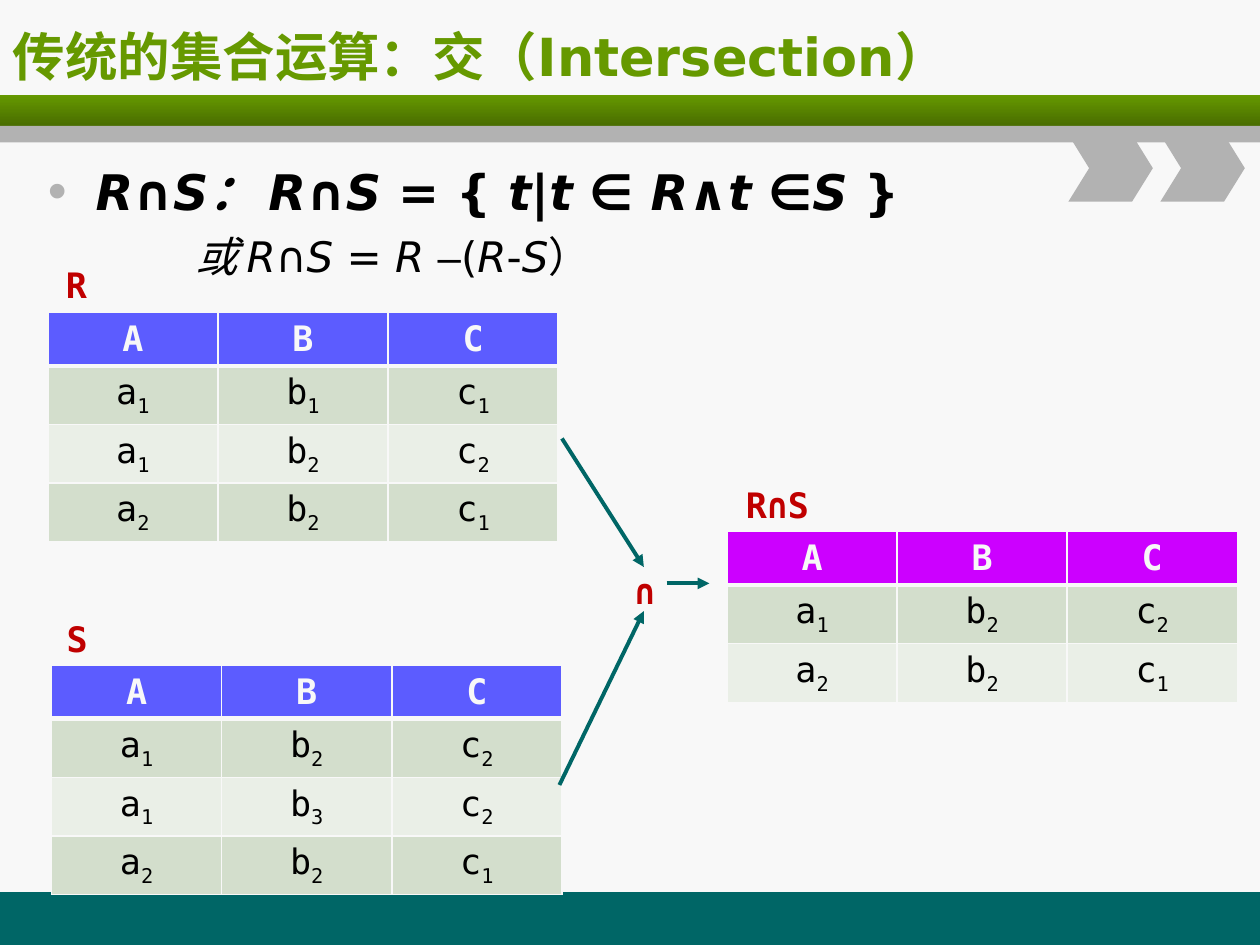
import pptx
import pptx.util
import pptx.dml.color
import pptx.enum.dml
import pptx.enum.shapes
import pptx.enum.text
import pptx.oxml
import pptx.oxml.ns

Inches, Pt = pptx.util.Inches, pptx.util.Pt
Shape = pptx.enum.shapes.MSO_SHAPE
Align = pptx.enum.text.PP_ALIGN
Anchor = pptx.enum.text.MSO_ANCHOR
Fit = pptx.enum.text.MSO_AUTO_SIZE
SANS, MONO = "DejaVu Sans", "DejaVu Sans Mono"
PALE, TEAL, GREEN, GRAY, RED = "F8F8F8", "006666", "669900", "B2B2B2", "C00000"
BLUE, PINK, BANDS = "5C5CFF", "CC00FF", ("D3DECC", "EAEFE7")


def color(code):
    return pptx.dml.color.RGBColor.from_string(code)


def xml(tag, body="", **attrs):
    pairs = "".join(f' {key}="{val}"' for key, val in attrs.items())
    return pptx.oxml.parse_xml(
        f'<a:{tag} {pptx.oxml.ns.nsdecls("a")}{pairs}>{body}</a:{tag}>')


def write(par, text, size=20, font=MONO, ink="000000", bold=False,
          slant=None, sub=False):
    run = par.add_run()
    run.text = text
    run.font.size, run.font.name = Pt(size), font
    run.font.bold, run.font.italic = bold, slant
    run.font.color.rgb = color(ink)
    if sub:
        run._r.get_or_add_rPr().set("baseline", "-25000")


class Deck:
    def __init__(self):
        self.prs = pptx.Presentation()
        self.prs.slide_width, self.prs.slide_height = Inches(10), Inches(7.5)
        self.slide = self.prs.slides.add_slide(self.prs.slide_layouts[1])
        self.shapes = self.slide.shapes
        fill = self.slide.background.fill
        fill.solid()
        fill.fore_color.rgb = color(PALE)

    def shape(self, kind, box, fill, end=None):
        item = self.shapes.add_shape(kind, *map(Inches, box))
        item.shadow.inherit = False
        item.line.fill.background()
        if end:
            item.fill.gradient()
            item.fill.gradient_angle = 270
            for stop, code in zip(item.fill.gradient_stops, (fill, end)):
                stop.color.rgb = color(code)
        else:
            item.fill.solid()
            item.fill.fore_color.rgb = color(fill)
        return item

    def place(self, holder, box):
        holder.left, holder.top, holder.width, holder.height = map(Inches, box)
        frame = holder.text_frame
        frame.word_wrap, frame.auto_size = True, Fit.NONE
        return frame

    def title(self, text, box):
        frame = self.place(self.shapes.title, box)
        frame.vertical_anchor = Anchor.MIDDLE
        par = frame.paragraphs[0]
        par.alignment = Align.LEFT
        write(par, text, size=30, font=SANS, ink=GREEN, bold=True)

    def body(self, lines, box):
        """Each line is (text, size, bold, margin, hang); *...* is italic."""
        frame = self.place(self.slide.placeholders[1], box)
        for num, (text, size, bold, margin, hang) in enumerate(lines):
            par = frame.add_paragraph() if num else frame.paragraphs[0]
            par.level, par.alignment = num, Align.JUSTIFY
            par.space_before = Pt(6 if num else 0)
            props = par._p.get_or_add_pPr()
            props.set("marL", str(Inches(margin)))
            props.set("indent", str(-Inches(hang)))
            if hang:
                props.append(xml("buClr", f'<a:srgbClr val="{GRAY}"/>'))
                props.append(xml("buSzPct", val=110000))
                props.append(xml("buFont", typeface="Arial"))
                props.append(xml("buChar", char="•"))
            else:
                props.append(xml("buNone"))
            for pos, part in enumerate(text.split("*")):
                if part:
                    write(par, part, size=size, bold=bold, slant=pos % 2 == 1,
                          font="Arial" if part == "–" else SANS)

    def label(self, text, box):
        frame = self.shapes.add_textbox(*map(Inches, box)).text_frame
        frame.word_wrap, frame.auto_size = False, Fit.SHAPE_TO_FIT_TEXT
        frame.paragraphs[0].alignment = Align.RIGHT
        write(frame.paragraphs[0], text, ink=RED, bold=True)

    def cell(self, cell, row, fill):
        cell.fill.solid()
        cell.fill.fore_color.rgb = color(fill)
        widths = {"lnL": 1, "lnR": 1, "lnT": 3 if row == 1 else 1,
                  "lnB": 1 if row else 3}
        paint = f'<a:solidFill><a:srgbClr val="{PALE}"/></a:solidFill>'
        for pos, (tag, width) in enumerate(widths.items()):
            cell._tc.get_or_add_tcPr().insert(pos, xml(tag, paint, w=Pt(width)))

    def table(self, rows, left, top, head):
        """Each row gives the subscripts of a, b and c."""
        grid = self.shapes.add_table(
            len(rows) + 1, 3, Inches(left), Inches(top),
            Inches(4.05), Inches(0.41 * (len(rows) + 1))).table
        for row, marks in enumerate(["ABC"] + rows):
            grid.rows[row].height = Inches(0.41)
            for col, mark in enumerate(marks):
                cell = grid.cell(row, col)
                self.cell(cell, row, BANDS[(row - 1) % 2] if row else head)
                par = cell.text_frame.paragraphs[0]
                par.alignment = Align.CENTER
                if row:
                    write(par, "abc"[col])
                    write(par, mark, sub=True)
                else:
                    write(par, mark, ink=PALE, bold=True)

    def arrow(self, *ends):
        line = self.shapes.add_connector(
            pptx.enum.shapes.MSO_CONNECTOR.STRAIGHT, *map(Inches, ends))
        line.line.color.rgb, line.line.width = color(TEAL), Pt(2.25)
        line.line._get_or_add_ln().append(xml("tailEnd", type="triangle"))
        line._element.spPr.append(xml("effectLst"))


def main():
    deck = Deck()

    # Bands and chevrons
    deck.shape(Shape.RECTANGLE, (0, 7.08, 10, 0.42), TEAL)
    deck.shape(Shape.RECTANGLE, (0, 0.75, 10, 0.25), GREEN, end="496D00")
    deck.shape(Shape.RECTANGLE, (0, 1, 10, 0.13), GRAY)
    for left in (8.48, 9.21):
        mark = deck.shape(Shape.CHEVRON, (left, 1.07, 0.67, 0.53), GRAY)
        mark.adjustments[0] = 0.31

    # Title and definition
    deck.title("传统的集合运算：交（Intersection）", (0, 0.13, 8.49, 0.62))
    deck.body([
        ("*R*∩*S： R*∩*S* = { *t*|*t *∈ *R*∧*t *∈*S *}", 28, True, 0.38, 0.38),
        ("*或 R*∩*S* = *R *–**(*R*-*S*）", 24, False, 1.17, 0),
    ], (0.28, 1.23, 8.5, 1.18))

    # Relations and their intersection
    deck.table(["111", "122", "221"], 0.38, 2.48, BLUE)
    deck.table(["122", "132", "221"], 0.41, 5.28, BLUE)
    deck.table(["122", "221"], 5.77, 4.22, PINK)
    deck.label("R", (0.41, 2.04, 0.38, 0.44))
    deck.label("S", (0.43, 4.85, 0.35, 0.44))
    deck.label("R∩S", (5.77, 3.79, 0.75, 0.44))

    # Flow into the result
    deck.arrow(4.46, 3.48, 5.11, 4.5)
    deck.arrow(4.44, 6.23, 5.11, 4.85)
    deck.label("∩", (4.88, 4.47, 0.42, 0.44))
    deck.arrow(5.29, 4.63, 5.63, 4.63)

    deck.prs.save("out.pptx")


if __name__ == "__main__":
    main()
